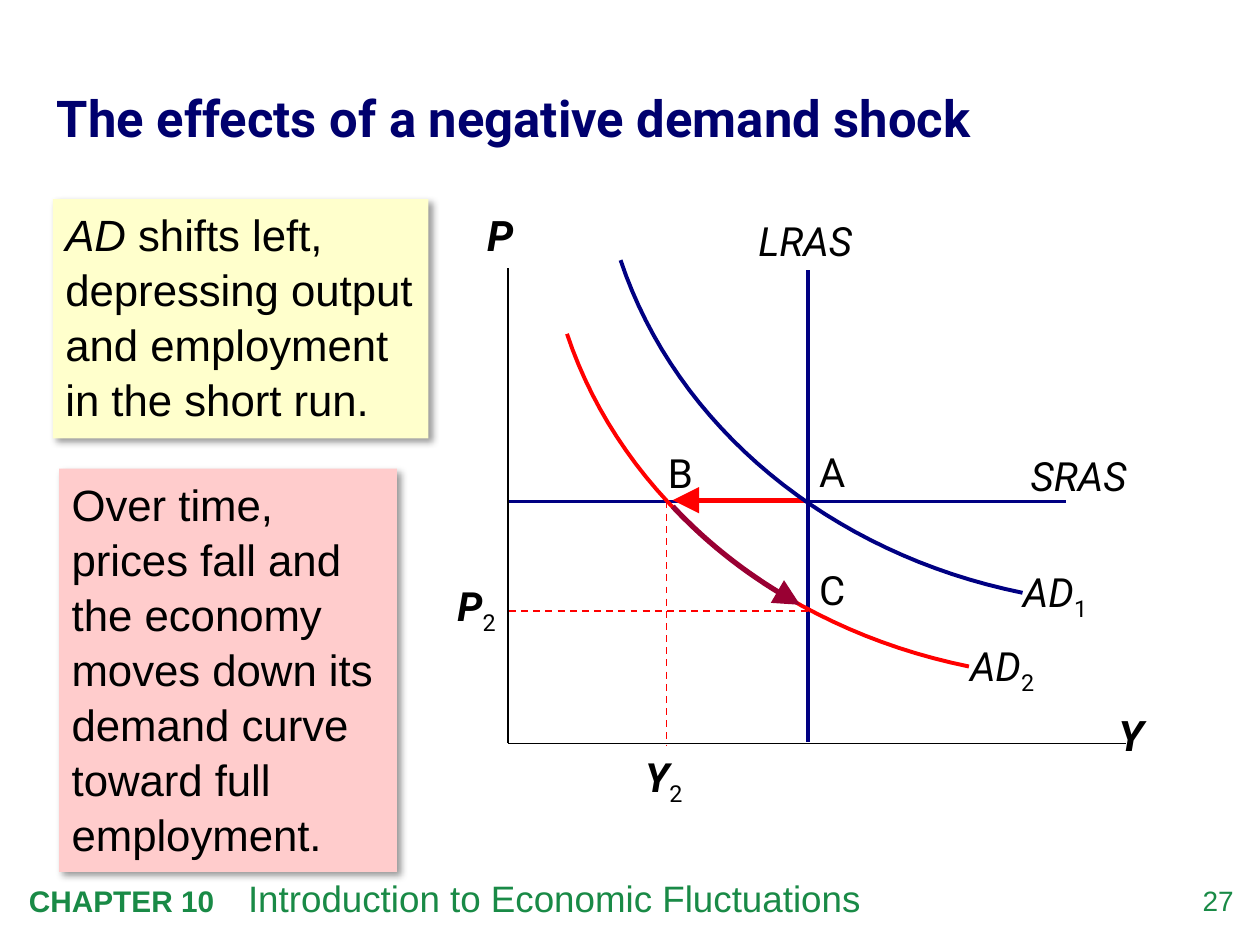
from lxml import etree
from pptx import Presentation, util as u
from pptx.dml.color import RGBColor
from pptx.enum import dml, shapes, text
from pptx.oxml.ns import qn

NAVY = RGBColor(0x00, 0x00, 0x82)
TITLE = RGBColor(0x00, 0x00, 0x6E)
RED = RGBColor(0xFF, 0x00, 0x00)
WINE = RGBColor(0x99, 0x00, 0x33)
BLACK = RGBColor(0x00, 0x00, 0x00)
GREEN = RGBColor(0x19, 0x8A, 0x46)
CREAM = RGBColor(0xFF, 0xFF, 0xCC)
PINK = RGBColor(0xFF, 0xCC, 0xCC)

deck = Presentation()
deck.slide_width, deck.slide_height = u.Inches(10), u.Inches(7.5)
cell = deck.slide_width / 100
slide = deck.slides.add_slide(deck.slide_layouts[5])
items = slide.shapes


def write(shape, runs, base, hue=BLACK, pad=(1, 0.5, 1, 0.5), **form):
    frame = shape.text_frame
    sides = ("margin_left", "margin_top", "margin_right", "margin_bottom")
    for side, gap in zip(sides, pad):
        setattr(frame, side, round(gap * cell))
    frame.word_wrap = True
    frame.auto_size = text.MSO_AUTO_SIZE.NONE
    frame.vertical_anchor = form.pop("anchor", text.MSO_ANCHOR.TOP)
    para = frame.paragraphs[0]
    for key, val in form.items():
        setattr(para, key, val)
    for words, extra in runs:
        if words == "\v":
            para.add_line_break()
            continue
        run = para.add_run()
        run.text = words
        style = {**base, **extra}
        if style.pop("sub", False):
            run._r.get_or_add_rPr().set("baseline", "-25000")
        for key, val in style.items():
            setattr(run.font, key, val)
        run.font.color.rgb = hue


def ink(shape, hue, wide, dash=False, arrow=False):
    shape.line.color.rgb = hue
    shape.line.width = u.Pt(wide)
    if dash:
        shape.line.dash_style = dml.MSO_LINE.DASH
    props = shape._element.spPr
    if arrow:
        etree.SubElement(props.find(qn("a:ln")), qn("a:headEnd"),
                         type="triangle", w="lg", len="lg")
    etree.SubElement(props, qn("a:effectLst"))


LABEL = {"name": "Roboto", "size": u.Pt(23)}
SLANT = {**LABEL, "italic": True}
AXIS = {**SLANT, "bold": True}
BIG = {**AXIS, "size": u.Pt(24)}
NOTE = {"name": "Arial", "size": u.Pt(25)}
SUB = {"bold": False, "italic": False, "sub": True}

title = items.title
title.left, title.top, title.width, title.height = [
    round(n * cell) for n in (4.5, 2.6, 92.4, 13.1)]
write(title, [("The effects of a negative demand shock", {})],
      {"name": "Roboto", "size": u.Pt(29), "bold": True}, TITLE, (0, 0, 0, 0),
      anchor=text.MSO_ANCHOR.MIDDLE, alignment=text.PP_ALIGN.LEFT, line_spacing=1.05)

lines = [
    ((40.4, 39.8, 84.6, 39.8), NAVY, 2.25, False, False),
    ((64.1, 58.9, 64.1, 21.4), NAVY, 2.25, False, False),
    ((40.3, 21.3, 40.3, 59), BLACK, 1, False, False),
    ((40.3, 59, 89.4, 59), BLACK, 1, False, False),
    ((40.4, 48.5, 64.1, 48.5), RED, 1, True, False),
    ((52.9, 39.8, 52.9, 59.2), RED, 1, True, False),
    ((53.4, 39.7, 63.8, 39.7), RED, 3, False, True),
]
for ends, hue, wide, dash, arrow in lines:
    link = items.add_connector(shapes.MSO_CONNECTOR.STRAIGHT, *[round(n * cell) for n in ends])
    ink(link, hue, wide, dash, arrow)

demand = [(76.9, 52.9), (61.6, 49.8), (49.4, 39.7), (45, 26.5)]
slide_down = [(63.5, 48), (59.7, 45.9), (56.3, 43.3), (53.4, 40.2)]
curves = [
    (demand, RED, 2.25, False),
    ([(x + 4.25, y - 5.85) for x, y in demand], NAVY, 2.25, False),
    (slide_down, WINE, 3, True),
]
steps = 32
for knots, hue, wide, arrow in curves:
    dots = []
    for step in range(steps + 1):
        t = step / steps
        parts = ((1 - t) ** 3, 3 * t * (1 - t) ** 2, 3 * t * t * (1 - t), t ** 3)
        dots.append(tuple(
            round(cell * sum(part * knot[axis] for part, knot in zip(parts, knots)))
            for axis in (0, 1)))
    pen = items.build_freeform(*dots[0])
    pen.add_line_segments(dots[1:], close=False)
    curve = pen.convert_to_shape()
    curve.fill.background()
    ink(curve, hue, wide, arrow=arrow)

NONE, FULL = (0, 0, 0, 0), (1, 0.5, 0, 0.5)
LOW, BASE = (0, 0, 0, 1), (0, 0, 0, 0.5)
LEFT, MID = text.PP_ALIGN.LEFT, text.PP_ALIGN.CENTER
labels = [
    ((81.8, 35.8, 10, 4.3), [("SRAS", {})], SLANT, BASE, LEFT),
    ((59.2, 16.7, 11.7, 4.8), [("LRAS", {})], SLANT, FULL, LEFT),
    ((76, 50.4, 7.5, 4.8), [("AD", {}), ("2", SUB)], SLANT, FULL, LEFT),
    ((80.2, 44.5, 7.5, 4.8), [("AD", {}), ("1", SUB)], SLANT, FULL, LEFT),
    ((85.8, 55.8, 8.4, 5), [("Y", {})], BIG, (0.5, 0.5, 1, 0.5), MID),
    ((36.7, 16.1, 6, 5), [("P", {})], BIG, (1, 0.5, 1, 0.5), MID),
    ((36.3, 46.1, 4.2, 4.8), [("P", {}), ("2", SUB)], AXIS, LOW, LEFT),
    ((51.2, 59.7, 4.2, 4.8), [("Y", {}), ("2", SUB)], AXIS, LOW, LEFT),
    ((65, 35.5, 2.5, 3.8), [("A", {})], LABEL, NONE, LEFT),
    ((53, 35.6, 2.5, 3.8), [("B", {})], LABEL, NONE, LEFT),
    ((65, 44.9, 2.5, 3.8), [("C", {})], LABEL, NONE, LEFT),
]
for area, runs, base, pad, side in labels:
    box = items.add_textbox(*[round(n * cell) for n in area])
    write(box, runs, base, pad=pad, alignment=side)

notes = [
    ((4.2, 15.8, 29.8, 19), CREAM, [
        ("AD", {"italic": True}), (" shifts left, depressing output and employment", {}),
        ("\v", {}), ("in the short run.", {})]),
    ((4.7, 37.2, 26.8, 32), PINK, [
        ("Over time, prices fall and the economy moves down its "
         "demand curve toward full employment.", {})]),
]
for area, hue, runs in notes:
    card = items.add_shape(shapes.MSO_SHAPE.RECTANGLE, *[round(n * cell) for n in area])
    card.fill.solid()
    card.fill.fore_color.rgb = hue
    card.line.fill.background()
    glow = etree.SubElement(card._element.spPr, qn("a:effectLst"))
    shade = etree.SubElement(glow, qn("a:outerShdw"), blurRad=str(u.Pt(4)), dist=str(u.Pt(3)),
                             dir="2700000", algn="tl", rotWithShape="0")
    tint = etree.SubElement(shade, qn("a:srgbClr"), val=str(BLACK))
    etree.SubElement(tint, qn("a:alpha"), val="40000")
    write(card, runs, NOTE, alignment=LEFT, line_spacing=1.05)

foot = items.add_textbox(*[round(n * cell) for n in (1.3, 69, 81.8, 4.5)])
tabs = etree.SubElement(foot.text_frame.paragraphs[0]._p.get_or_add_pPr(), qn("a:tabLst"))
etree.SubElement(tabs, qn("a:tab"), pos=str(round(17.4 * cell)), algn="l")
write(foot, [("CHAPTER 10\t", {"size": u.Pt(17), "bold": True}),
             ("Introduction to Economic Fluctuations", {"size": u.Pt(21)})],
      {"name": "Arial"}, GREEN)

page = items.add_textbox(*[round(n * cell) for n in (92.4, 70.1, 5.5, 3.2)])
write(page, [("27", {})], {"name": "Arial", "size": u.Pt(16)}, GREEN, NONE,
      alignment=text.PP_ALIGN.RIGHT)

deck.save("out.pptx")
